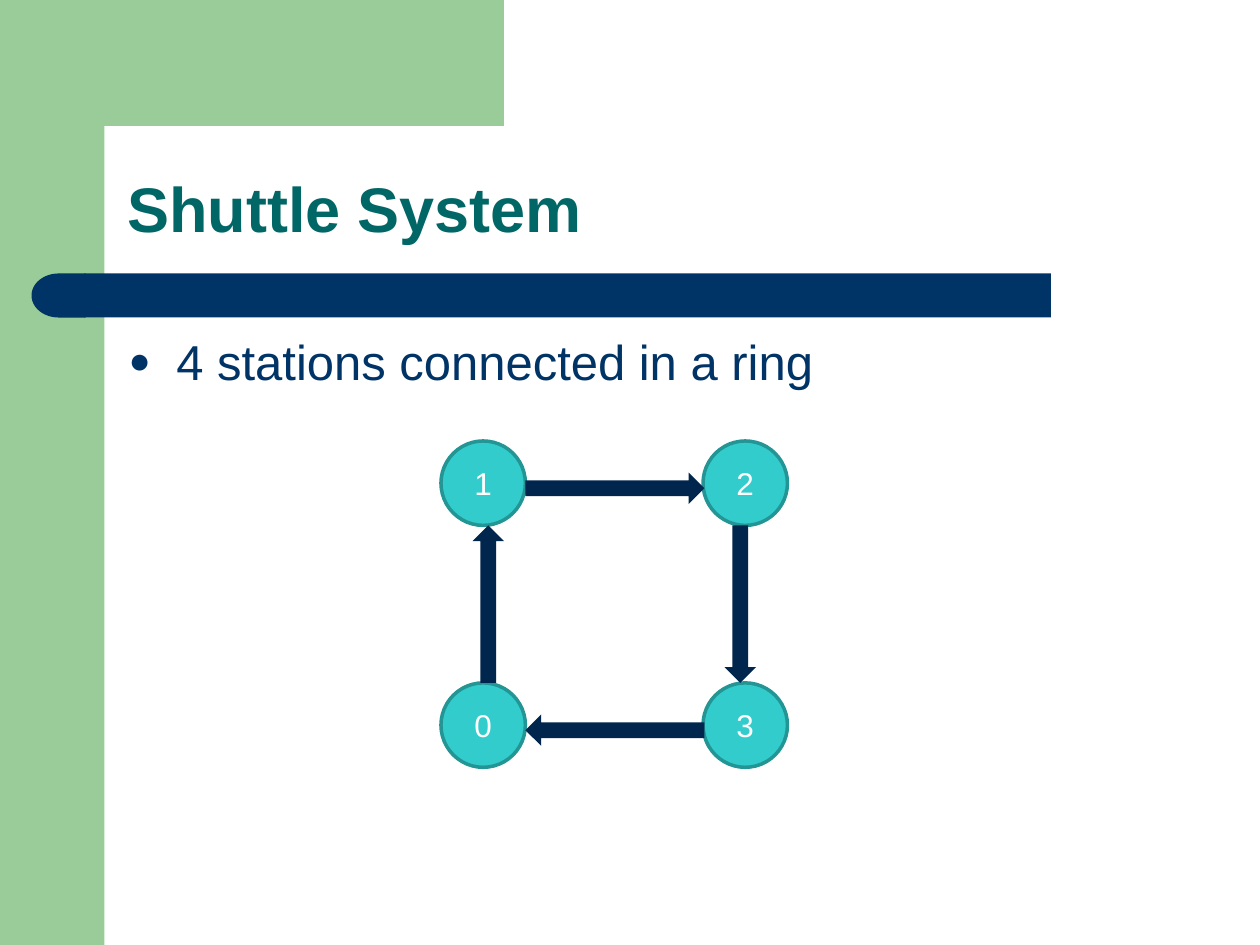
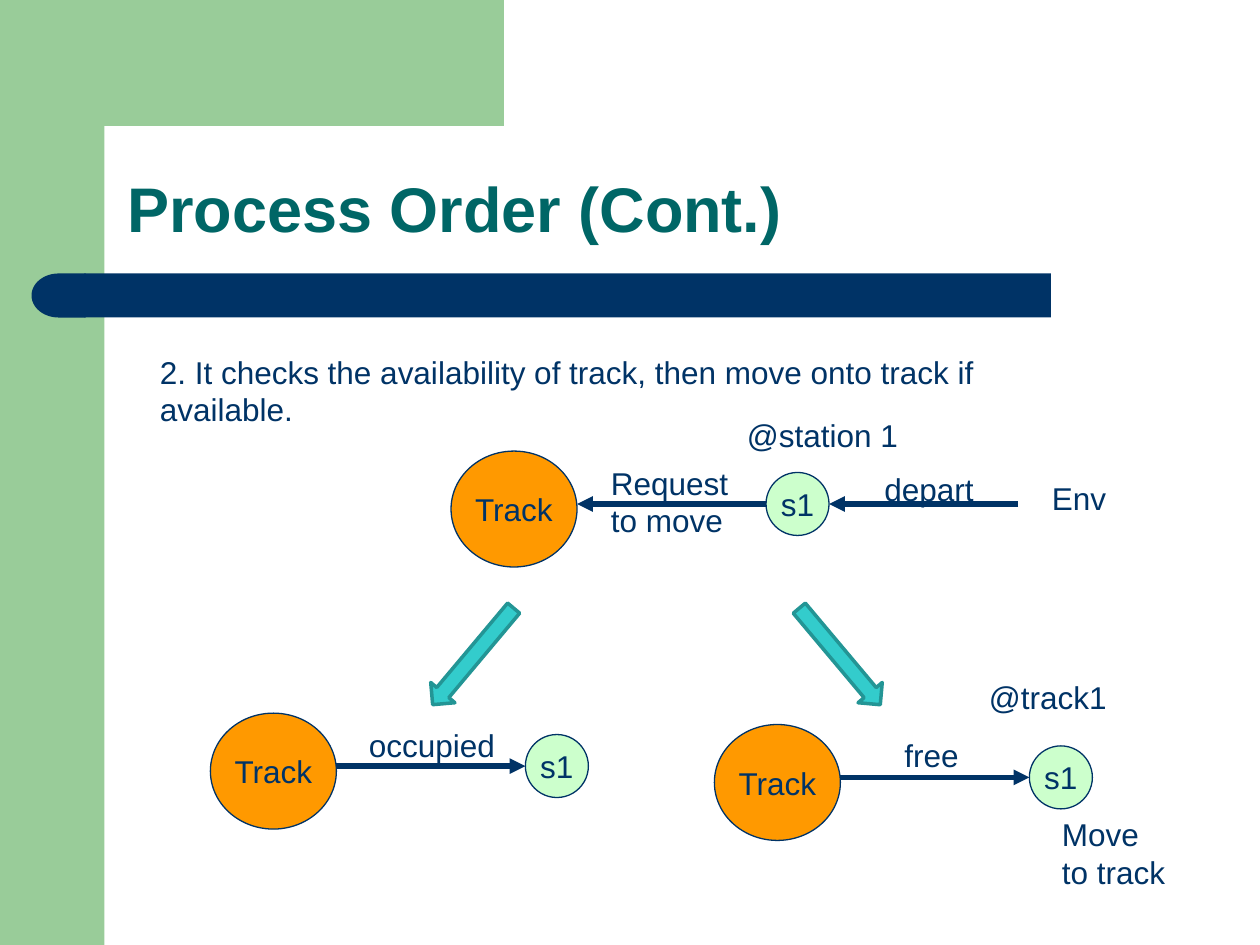
from dataclasses import dataclass

from lxml import etree
from pptx import Presentation
from pptx.dml.color import RGBColor
from pptx.enum import shapes, text
from pptx.oxml import ns
from pptx.util import Inches, Pt


@dataclass(frozen=True)
class Theme:
    font: str = "Arial"
    green: str = "99CC99"
    navy: str = "003366"
    dark_navy: str = "00264D"
    title: str = "006666"
    teal: str = "33CCCC"
    teal_edge: str = "239595"
    orange: str = "FF9900"
    mint: str = "CCFFCC"
    white: str = "FFFFFF"
    title_size: float = 36
    body_size: float = 28
    label_size: float = 18


THEME = Theme()
KIND = shapes.MSO_SHAPE


def rgb(value):
    return RGBColor.from_string(value)


def add_xml(parent, tag, **attributes):
    return etree.SubElement(parent, ns.qn(tag), attributes)


def write(tf, content, size=THEME.label_size, color=THEME.navy, bold=False,
          align=text.PP_ALIGN.LEFT, anchor=text.MSO_ANCHOR.TOP,
          wrap=True, fit=text.MSO_AUTO_SIZE.NONE, spacing=1.0):
    tf.word_wrap = wrap
    tf.auto_size = fit
    tf.vertical_anchor = anchor
    p = tf.paragraphs[0]
    p.alignment = align
    p.line_spacing = spacing
    p.space_before = Pt(0)
    r = p.add_run()
    r.text = content
    r.font.name = THEME.font
    r.font.size = Pt(size)
    r.font.bold = bold
    r.font.color.rgb = rgb(color)
    return p


def place(sp, left, top, width, height):
    sp.left, sp.top = Inches(left), Inches(top)
    sp.width, sp.height = Inches(width), Inches(height)


def paint(sp, fill=None, edge=None, weight=1):
    sp.shadow.inherit = False
    if fill:
        sp.fill.solid()
        sp.fill.fore_color.rgb = rgb(fill)
    else:
        sp.fill.background()
    if edge:
        sp.line.color.rgb = rgb(edge)
        sp.line.width = Pt(weight)
    else:
        sp.line.fill.background()


def add_block(s, kind, left, top, width, height, fill, edge=None, weight=1, turn=0):
    sp = s.shapes.add_shape(kind, Inches(left), Inches(top), Inches(width), Inches(height))
    paint(sp, fill, edge, weight)
    sp.rotation = turn
    return sp


def add_node(s, label, left, top, width, height, fill, edge=THEME.navy,
             weight=0.75, color=THEME.navy):
    sp = add_block(s, KIND.OVAL, left, top, width, height, fill, edge, weight)
    write(sp.text_frame, label, color=color, align=text.PP_ALIGN.CENTER,
          anchor=text.MSO_ANCHOR.MIDDLE, wrap=False)


def add_label(s, content, left, top, width, height=0.4):
    box = s.shapes.add_textbox(Inches(left), Inches(top), Inches(width), Inches(height))
    write(box.text_frame, content, fit=text.MSO_AUTO_SIZE.SHAPE_TO_FIT_TEXT)


def add_arrowhead(sp):
    add_xml(sp.line._get_or_add_ln(), "a:tailEnd", type="triangle")


def add_message(s, start, end, y):
    line = s.shapes.add_connector(
        shapes.MSO_CONNECTOR.STRAIGHT, Inches(start), Inches(y), Inches(end), Inches(y))
    line.line.color.rgb = rgb(THEME.navy)
    line.line.width = Pt(3)
    add_arrowhead(line)
    add_xml(line.element.spPr, "a:effectLst")


def bezier(start, c1, c2, end, steps=10):
    points = []
    for i in range(1, steps + 1):
        t = i / steps
        weights = ((1 - t) ** 3, 3 * t * (1 - t) ** 2, 3 * t * t * (1 - t), t ** 3)
        points.append(tuple(sum(w * pt[axis] for w, pt in zip(weights, (start, c1, c2, end)))
                            for axis in (0, 1)))
    return points


def add_outline(s, start, parts, close):
    points = [start]
    for part in parts:
        points += bezier(points[-1], *part) if len(part) == 3 else part
    builder = s.shapes.build_freeform(*points[0], scale=Inches(1))
    builder.add_line_segments(points[1:], close=close)
    return builder.convert_to_shape()


def add_master_design(prs, s):
    corner = add_outline(s, (3.5, 0), [
        [(3.5, 0.83)], [(1.16, 0.84)], [(1.11, 0.83)], [(1.03, 0.85)],
        [(1, 0.86), (0.96, 0.89), (0.93, 0.92)],
        [(0.9, 0.95), (0.87, 1), (0.86, 1.04)],
        [(0.84, 1.08), (0.84, 1.12), (0.83, 1.16)],
        [(0.83, 1.28)], [(0.5, 1.28)], [(0.5, 0)],
    ], close=True)
    paint(corner, THEME.green)
    design = [
        add_block(s, KIND.RECTANGLE, 0, 0, 0.83, 7.5, THEME.green),
        corner,
        add_block(s, KIND.RECTANGLE, 0.67, 2.17, 7.67, 0.35, THEME.navy),
        add_block(s, KIND.FLOWCHART_DELAY, 0.25, 2.17, 0.43, 0.35, THEME.navy, turn=180),
    ]
    tree = prs.slide_master.shapes.element
    for i, sp in enumerate(design, start=2):
        tree.insert(i, sp.element)


def add_slide(prs, layout, title):
    s = prs.slides.add_slide(prs.slide_layouts[layout])
    place(s.shapes.title, 0.91, 0.91, 8.51, 1.09)
    write(s.shapes.title.text_frame, title, size=THEME.title_size, color=THEME.title,
          bold=True, anchor=text.MSO_ANCHOR.BOTTOM, spacing=0.9)
    return s


def add_bullet(s, content):
    body = s.placeholders[1]
    place(body, 0.92, 2.58, 8.41, 4.07)
    p = write(body.text_frame, content, size=THEME.body_size)
    pPr = p._p.get_or_add_pPr()
    pPr.set("marL", str(Inches(0.38)))
    pPr.set("indent", str(Inches(-0.38)))
    add_xml(add_xml(pPr, "a:buClr"), "a:srgbClr", val=THEME.navy)
    add_xml(pPr, "a:buSzPct", val="75000")
    add_xml(pPr, "a:buFont", typeface=THEME.font)
    add_xml(pPr, "a:buChar", char="●")


def add_station_ring(s):
    left, right, top, bottom, size = 3.5, 5.58, 3.5, 5.42, 0.67
    corners = {"1": (left, top), "2": (right, top), "3": (right, bottom), "0": (left, bottom)}
    for label, (x, y) in corners.items():
        add_node(s, label, x, y, size, size, THEME.teal, THEME.teal_edge, 2, THEME.white)
    tracks = [(4.17, 3.75, 1.42), (5.25, 4.67, 1.25), (4.17, 5.67, 1.42), (3.25, 4.67, 1.25)]
    for i, (x, y, length) in enumerate(tracks):
        add_block(s, KIND.RIGHT_ARROW, x, y, length, 0.25, THEME.dark_navy, turn=90 * i)


def add_exchange(s, shuttle_x, shuttle_y, is_reply=True):
    track_x = shuttle_x - 2.5
    add_node(s, "s1", shuttle_x, shuttle_y, 0.5, 0.5, THEME.mint)
    add_node(s, "Track", track_x, shuttle_y - 0.17, 1, 0.92, THEME.orange)
    ends = (track_x + 1, shuttle_x) if is_reply else (shuttle_x, track_x + 1)
    add_message(s, *ends, shuttle_y + 0.25)


def add_move_loop(s):
    loop = add_outline(s, (8.57, 6.01), [
        [(8.86, 5.92)],
        [(8.89, 5.95), (9.03, 6.07), (9.06, 6.14)],
        [(9.08, 6.21), (9.06, 6.31), (9.03, 6.35)],
        [(9, 6.4), (8.91, 6.4), (8.87, 6.4)],
        [(8.83, 6.41), (8.84, 6.41), (8.8, 6.39)],
        [(8.76, 6.37), (8.64, 6.27), (8.64, 6.27)],
    ], close=False)
    paint(loop, edge=THEME.navy, weight=3)
    add_arrowhead(loop)


def add_track_request(s):
    add_label(s, "2. It checks the availability of track, then move onto track if available.",
              1.17, 2.75, 7.58, 0.7)
    add_exchange(s, 6.08, 3.75, is_reply=False)
    add_exchange(s, 4.17, 5.83)
    add_exchange(s, 8.17, 5.92)
    add_message(s, 8.08, 6.58, 4)
    for x, turn in ((3.63, 40), (6.54, 320)):
        add_block(s, KIND.DOWN_ARROW, x, 4.71, 0.25, 1, THEME.teal, THEME.teal_edge, 2, turn)
    add_move_loop(s)
    for label in (
        ("Request to move", 4.75, 3.63, 1.17, 0.7),
        ("occupied", 2.83, 5.71, 1.25),
        ("free", 7.08, 5.79, 1.25),
        ("depart", 6.92, 3.68, 1.17),
        ("Env", 8.25, 3.75, 1.08),
        ("@station 1", 5.83, 3.25, 1.42),
        ("@track1", 7.75, 5.33, 1.42),
        ("Move to track", 8.33, 6.42, 1.08, 0.7),
    ):
        add_label(s, *label)


def main():
    prs = Presentation()
    prs.slide_width, prs.slide_height = Inches(10), Inches(7.5)
    ring = add_slide(prs, 1, "Shuttle System")
    add_master_design(prs, ring)
    add_bullet(ring, "4 stations connected in a ring")
    add_station_ring(ring)
    add_track_request(add_slide(prs, 5, "Process Order (Cont.)"))
    prs.save("out.pptx")


if __name__ == "__main__":
    main()
